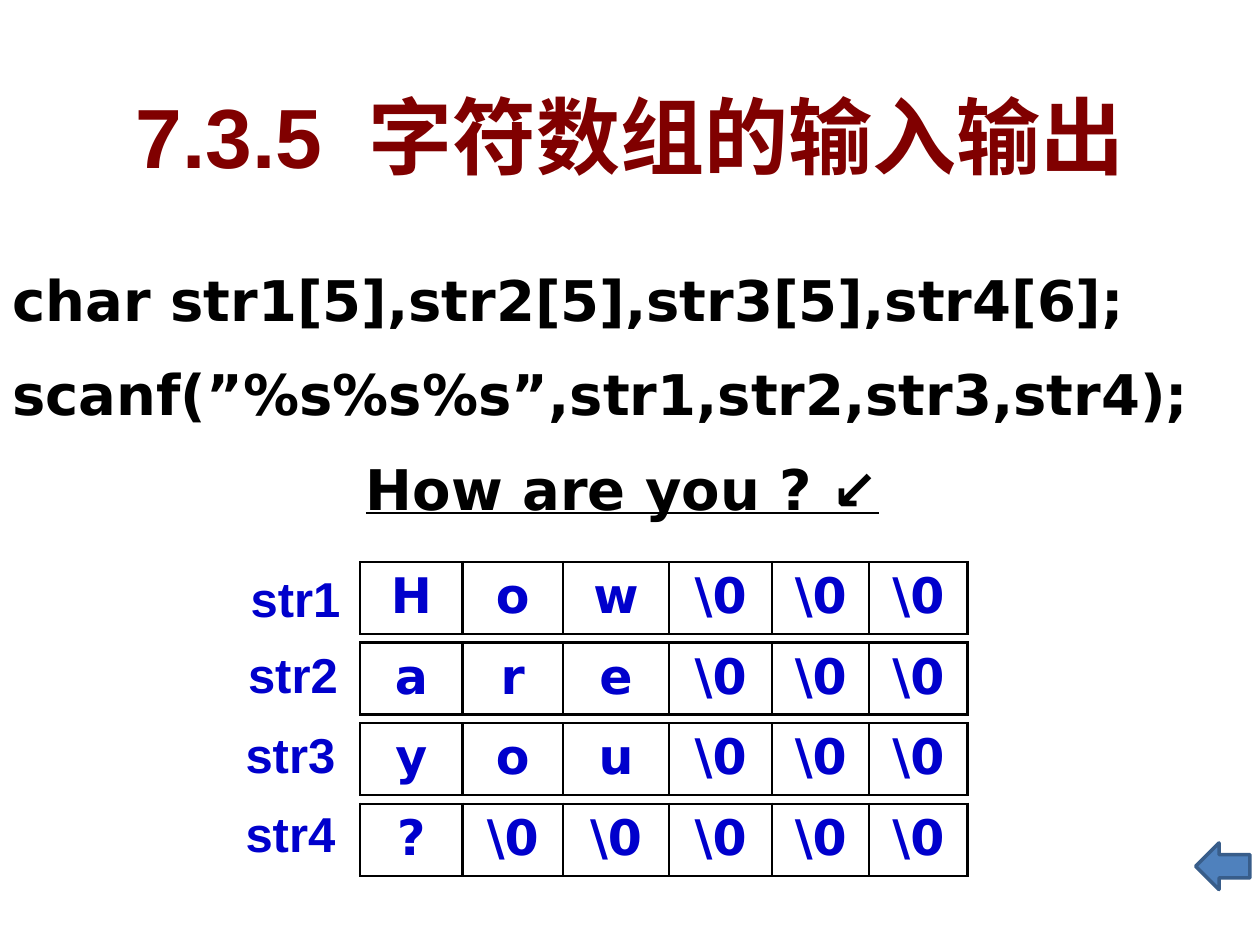
from lxml import etree
from pptx import Presentation
from pptx.dml.color import RGBColor
from pptx.enum.shapes import MSO_SHAPE
from pptx.enum.text import MSO_ANCHOR, MSO_AUTO_SIZE, PP_ALIGN
from pptx.oxml.ns import qn
from pptx.util import Inches, Pt

LEFT, CENTER = PP_ALIGN.LEFT, PP_ALIGN.CENTER
COLORS = {
    "white": "FFFFFF", "black": "000000", "title": "800000",
    "cell": "0000CC", "arrow": "4F81BD", "arrow line": "385D8A",
}
CODE_FONT, LABEL_FONT = "DejaVu Sans", "Arial"


def style(paragraph, font_name, size, color, align):
    paragraph.alignment = align
    for run in paragraph.runs:
        run.font.name = font_name
        run.font.size = Pt(size)
        run.font.bold = True
        run.font.color.rgb = RGBColor.from_string(COLORS[color])


def add_borders(cell):
    """Draw a black line on all four sides of a cell, before its fill element."""
    properties = cell._tc.get_or_add_tcPr()
    for index, side in enumerate(("a:lnL", "a:lnR", "a:lnT", "a:lnB")):
        line = etree.Element(qn(side), w=str(Pt(1.47)))
        fill = etree.SubElement(line, qn("a:solidFill"))
        etree.SubElement(fill, qn("a:srgbClr"), val=COLORS["black"])
        properties.insert(index, line)


presentation = Presentation()
presentation.slide_width = Inches(10)
presentation.slide_height = Inches(7.5)
slide = presentation.slides.add_slide(presentation.slide_layouts[5])

# Title, with a widened space after the section number
title = slide.shapes.title
title.left, title.top = Inches(0.27), Inches(0.6)
title.width, title.height = Inches(9.46), Inches(0.94)
title.fill.solid()
title.fill.fore_color.rgb = RGBColor.from_string(COLORS["white"])
title.text_frame.auto_size = MSO_AUTO_SIZE.NONE
title.text_frame.vertical_anchor = MSO_ANCHOR.MIDDLE
heading = title.text_frame.paragraphs[0]
for text in ("7.3.5", " ", "字符数组的输入输出"):
    heading.add_run().text = text
style(heading, LABEL_FONT, 48, "title", CENTER)
heading.runs[1].font._element.set("spc", "1300")

# Back arrow
arrow = slide.shapes.add_shape(
    MSO_SHAPE.LEFT_ARROW, Inches(9.49), Inches(6.69), Inches(0.43), Inches(0.37))
arrow.shadow.inherit = False
arrow.fill.solid()
arrow.fill.fore_color.rgb = RGBColor.from_string(COLORS["arrow"])
arrow.line.color.rgb = RGBColor.from_string(COLORS["arrow line"])
arrow.line.width = Pt(2)

# Code and the typed input
code_box = slide.shapes.add_textbox(Inches(0), Inches(1.95), Inches(9.88), Inches(2.27))
code_frame = code_box.text_frame
code_frame.word_wrap = True
code_frame.text = "\n".join((
    "char str1[5],str2[5],str3[5],str4[6];",
    "scanf(”%s%s%s”,str1,str2,str3,str4);",
    "How are you ? ↙",
))
for paragraph, align in zip(code_frame.paragraphs, (LEFT, LEFT, CENTER)):
    style(paragraph, CODE_FONT, 32, "black", align)
    paragraph.line_spacing = 1.2
    paragraph.space_before = Pt(8)
    paragraph_properties = paragraph._p.get_or_add_pPr()
    paragraph_properties.set("marL", str(Inches(0.38)))
    paragraph_properties.set("indent", str(-Inches(0.38)))
code_frame.paragraphs[-1].runs[0].font.underline = True

# One labelled row of cells for each string, padded with \0
COLUMN_WIDTHS = (0.81, 0.8, 0.84, 0.82, 0.77, 0.78)
ROW_HEIGHT, ROW_PITCH = 0.57, 0.64
strings = (
    ("str1", "How", 1.89, 4.46),
    ("str2", "are", 1.87, 5.07),
    ("str3", "you", 1.85, 5.7),
    ("str4", "?", 1.85, 6.33),
)
for index, (name, word, label_left, label_top) in enumerate(strings):
    label = slide.shapes.add_textbox(
        Inches(label_left), Inches(label_top), Inches(1.02), Inches(ROW_HEIGHT))
    label.text_frame.word_wrap = True
    label.text_frame.text = name
    style(label.text_frame.paragraphs[0], LABEL_FONT, 28, "cell", LEFT)

    table = slide.shapes.add_table(
        1, len(COLUMN_WIDTHS), Inches(2.86), Inches(4.46 + index * ROW_PITCH),
        Inches(sum(COLUMN_WIDTHS)), Inches(ROW_HEIGHT)).table
    table.first_row = table.horz_banding = False
    for column, width in enumerate(COLUMN_WIDTHS):
        table.columns[column].width = Inches(width)
        cell = table.cell(0, column)
        cell.text_frame.text = word[column] if column < len(word) else "\\0"
        style(cell.text_frame.paragraphs[0], CODE_FONT, 28, "cell", CENTER)
        cell.fill.solid()
        cell.fill.fore_color.rgb = RGBColor.from_string(COLORS["white"])
        add_borders(cell)

presentation.save("out.pptx")
